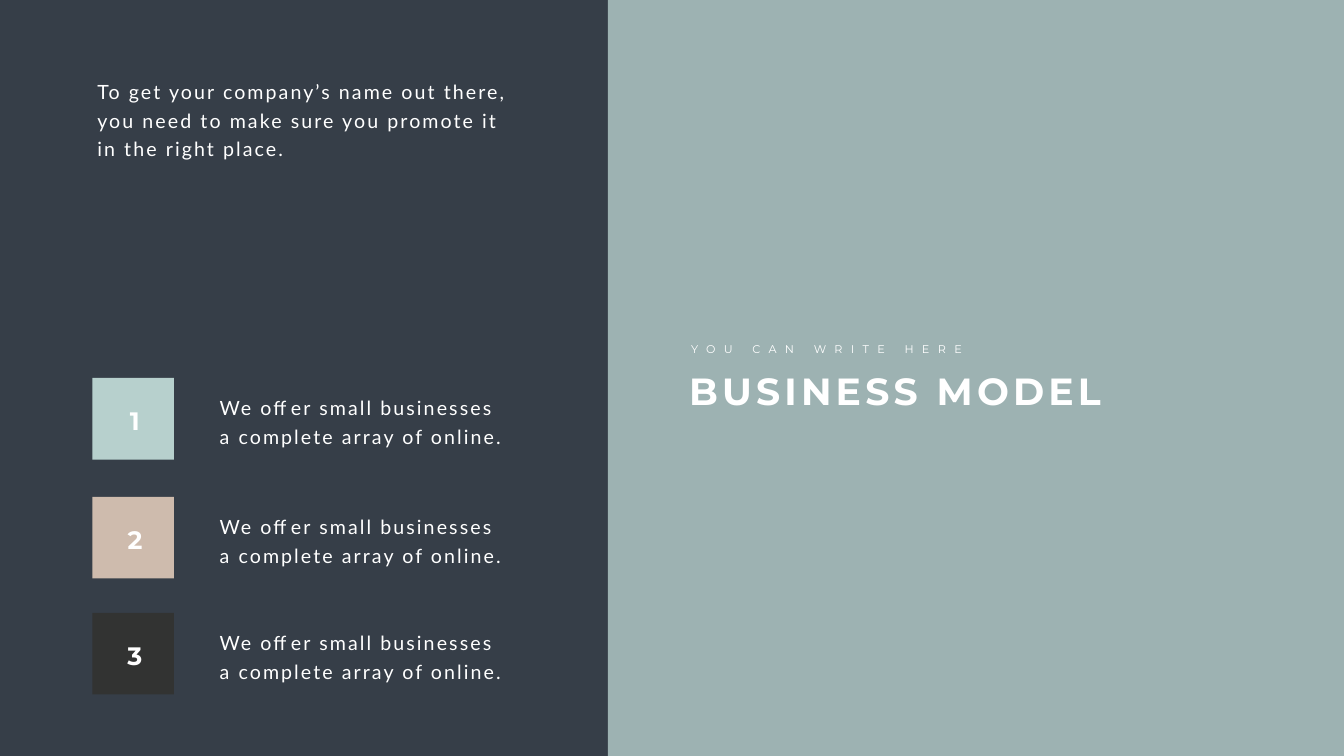
from lxml import etree
from pptx import Presentation
from pptx.dml.color import RGBColor
from pptx.enum.shapes import MSO_SHAPE
from pptx.enum.text import MSO_ANCHOR, MSO_AUTO_SIZE, PP_ALIGN
from pptx.oxml.ns import qn
from pptx.util import Cm, Pt

RECT = MSO_SHAPE.RECTANGLE
TOP = MSO_ANCHOR.TOP
NO_FIT = MSO_AUTO_SIZE.NONE
LEFT, CENTER = PP_ALIGN.LEFT, PP_ALIGN.CENTER

SLATE = RGBColor(0x36, 0x3E, 0x48)
MINT = RGBColor(0xB7, 0xD0, 0xCD)
SAND = RGBColor(0xCE, 0xBB, 0xAD)
CHARCOAL = RGBColor(0x32, 0x33, 0x32)
WHITE = RGBColor(0xFF, 0xFF, 0xFF)

WIDTH, HEIGHT = 67.72, 38.1
SPLIT = 30.63
SQUARE = 4.11

TITLE = {"name": "Montserrat", "size": Pt(54), "bold": True}
KICKER = {"name": "Montserrat", "size": Pt(16), "bold": False}
NUMBER = {"name": "Montserrat", "size": Pt(36), "bold": True}
BODY = {"name": "Lato", "size": Pt(28), "bold": False}

STEP = "We offer small businesses a complete array of online."
STEPS = [(19.05, MINT), (25.04, SAND), (30.89, CHARCOAL)]


def place(sp, left, top, width, height):
    """Move and size a shape, in centimetres."""
    for key, value in {"left": left, "top": top, "width": width, "height": height}.items():
        setattr(sp, key, Cm(value))


def write(sp, text, fmt, spacing, align=LEFT, line=None, wrap=True):
    """Fill a shape with one formatted, letter-spaced paragraph."""
    tf = sp.text_frame
    for key, value in {"word_wrap": wrap, "auto_size": NO_FIT, "vertical_anchor": TOP}.items():
        setattr(tf, key, value)
    p = tf.paragraphs[0]
    p.alignment = align
    p.space_before = Pt(0)
    if line:
        p.line_spacing = Pt(line)
    r = p.add_run()
    r.text = text
    for key, value in fmt.items():
        setattr(r.font, key, value)
    r.font.color.rgb = WHITE
    r.font._element.set("spc", str(spacing * 100))
    return p


def add_text(s, box, text, fmt, spacing, **options):
    """Add a text box at the given box."""
    sp = s.shapes.add_textbox(*map(Cm, box))
    write(sp, text, fmt, spacing, **options)


def add_rect(s, box, color):
    """Add a plain filled rectangle."""
    sp = s.shapes.add_shape(RECT, *map(Cm, box))
    sp.shadow.inherit = False
    sp.fill.solid()
    sp.fill.fore_color.rgb = color
    sp.line.fill.background()
    return sp


def heading_panel(s, left, top, width, height):
    """Build the tinted panel with the small line and the title."""
    panel = add_rect(s, (left, top, width, height), MINT)
    color = panel.fill._xPr.find(qn("a:solidFill"))[0]
    etree.SubElement(color, qn("a:alpha")).set("val", "80000")
    s.shapes._spTree.insert(2, panel._element)
    title = s.shapes.title
    place(title, left + 3.84, top + 18.42, 21.69, 2.57)
    write(title, "BUSINESS MODEL", TITLE, 6, wrap=False)
    add_text(s, (left + 3.94, top + 17.12, 14.68, 0.94),
             "YOU CAN WRITE HERE", KICKER, 12, wrap=False)


def intro(s, left, top, width, height):
    """Put the opening sentence in the body placeholder."""
    sp = s.placeholders[1]
    place(sp, left, top, width, height)
    p = write(sp, "To get your company’s name out there, you need to make sure "
                  "you promote it in the right place.", BODY, 3, line=40.8)
    pPr = p._p.get_or_add_pPr()
    for key in ("marL", "indent"):
        pPr.set(key, "0")
    etree.SubElement(pPr, qn("a:buNone"))


def step_row(s, left, top, number, color):
    """Build one numbered square with its sentence."""
    add_rect(s, (left, top, SQUARE, SQUARE), color)
    add_text(s, (left + 1.12, top + 1.25, 2.06, 1.8), str(number), NUMBER, 6, align=CENTER)
    add_text(s, (left + 6.17, top + 0.55, 15.01, 3.02), STEP, BODY, 3, line=40.8)


def main():
    """Build and save the slide."""
    prs = Presentation()
    prs.slide_width, prs.slide_height = Cm(WIDTH), Cm(HEIGHT)
    s = prs.slides.add_slide(prs.slide_layouts[1])
    s.background.fill.solid()
    s.background.fill.fore_color.rgb = SLATE
    heading_panel(s, SPLIT, 0, WIDTH - SPLIT, HEIGHT)
    intro(s, 4.65, 3.66, 21.18, 4.5)
    for number, (top, color) in enumerate(STEPS, 1):
        step_row(s, 4.65, top, number, color)
    prs.save("out.pptx")


if __name__ == "__main__":
    main()
